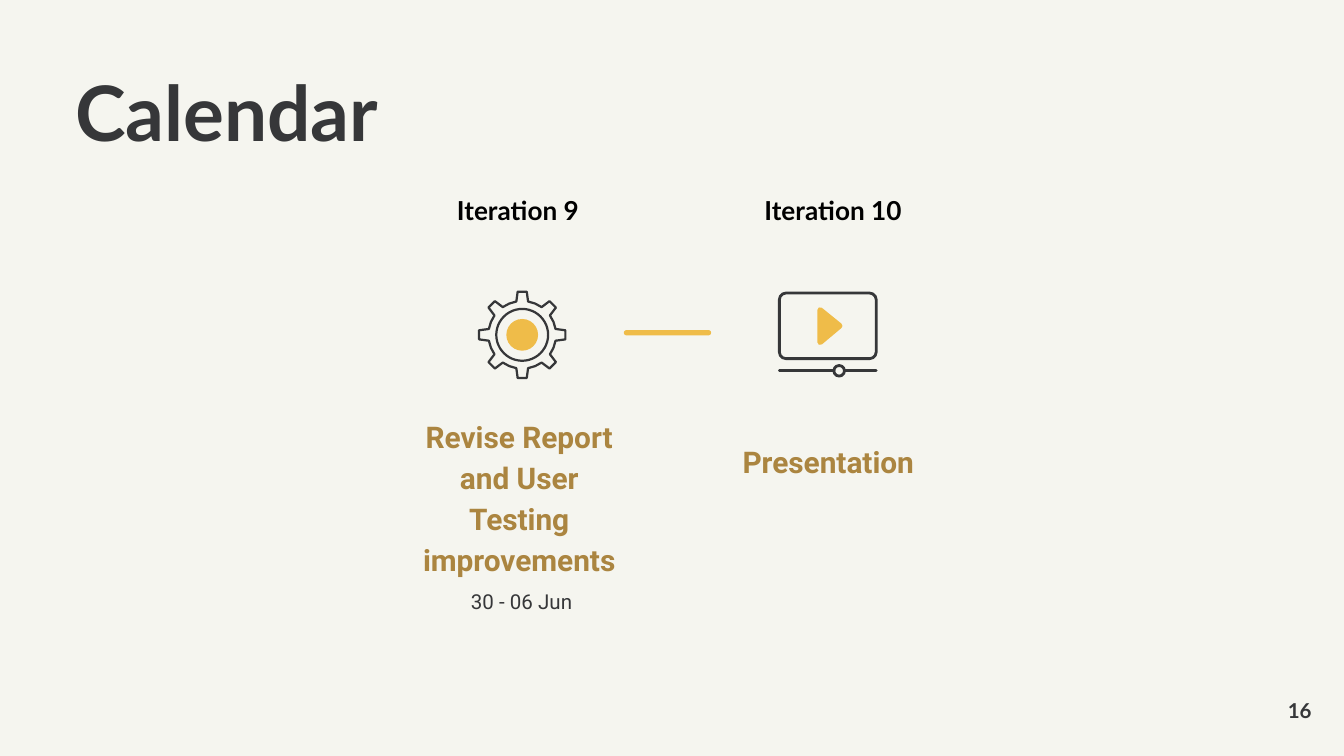
from math import cos, radians, sin

from pptx import Presentation
from pptx.dml.color import RGBColor
from pptx.enum.shapes import MSO_CONNECTOR, MSO_SHAPE
from pptx.enum.text import MSO_ANCHOR, MSO_AUTO_SIZE, PP_ALIGN
from pptx.oxml.ns import qn
from pptx.util import Cm, Pt

PAPER, INK, GOLD, BRONZE, BLACK = "F5F5EF", "363739", "EFBC49", "AB8540", "000000"


def rgb(color):
    return RGBColor.from_string(color)


def fill_text(sp, text, size, color, font="Lato", bold=True, align=PP_ALIGN.CENTER,
              anchor=MSO_ANCHOR.TOP, insets=(0.25, 0.25, 0.25, 0.25), spacing=1.0):
    """Write one paragraph; insets are left, top, right, bottom in cm."""
    tf = sp.text_frame
    tf.word_wrap = True
    tf.auto_size = MSO_AUTO_SIZE.NONE
    tf.vertical_anchor = anchor
    tf.margin_left, tf.margin_top, tf.margin_right, tf.margin_bottom = map(Cm, insets)
    p = tf.paragraphs[0]
    p.text = text
    p.alignment = align
    p.line_spacing = spacing
    p.font.name = font
    p.font.size = Pt(size)
    p.font.bold = bold
    p.font.color.rgb = rgb(color)


def add_text(s, box, *args, **kwargs):
    fill_text(s.shapes.add_textbox(*map(Cm, box)), *args, **kwargs)


def paint(sp, fill=None, line=None, width=1.5):
    sp.shadow.inherit = False
    if fill:
        sp.fill.solid()
        sp.fill.fore_color.rgb = rgb(fill)
    else:
        sp.fill.background()
    if line:
        sp.line.color.rgb = rgb(line)
        sp.line.width = Pt(width)
        ln = sp.line._get_or_add_ln()
        ln.append(ln.makeelement(qn("a:round"), {}))
    else:
        sp.line.fill.background()


def add_round_rect(s, box, radius, **style):
    sp = s.shapes.add_shape(MSO_SHAPE.ROUNDED_RECTANGLE, *map(Cm, box))
    sp.adjustments[0] = radius
    paint(sp, **style)


def add_circle(s, x, y, r, **style):
    sp = s.shapes.add_shape(MSO_SHAPE.OVAL, Cm(x - r), Cm(y - r), Cm(2 * r), Cm(2 * r))
    paint(sp, **style)


def add_polygon(s, points, **style):
    points = [(Cm(x), Cm(y)) for x, y in points]
    builder = s.shapes.build_freeform(*points[0], scale=1.0)
    builder.add_line_segments(points[1:], close=True)
    paint(builder.convert_to_shape(), **style)


def add_line(s, x1, x2, y):
    c = s.shapes.add_connector(MSO_CONNECTOR.STRAIGHT, Cm(x1), Cm(y), Cm(x2), Cm(y))
    c.line.color.rgb = rgb(INK)
    c.line.width = Pt(1.5)
    c.line._get_or_add_ln().set("cap", "rnd")
    props = c._element.spPr
    props.append(props.makeelement(qn("a:effectLst"), {}))


def add_gear(s, x, y):
    body, tip = 0.64, 0.82
    # One tooth and the gap after it, as angle and radius
    tooth = [(-10, body), (-6, tip), (6, tip), (10, body), (22.5, body)]
    outline = [(x + r * cos(radians(start + a)), y + r * sin(radians(start + a)))
               for start in range(0, 360, 45) for a, r in tooth]
    add_polygon(s, outline, line=INK, width=1.2)
    add_circle(s, x, y, 0.49, line=INK, width=1.2)
    add_circle(s, x, y, 0.3, fill=GOLD)


def add_player(s):
    left, right, track, knob, r = 14.73, 16.56, 7.01, 15.86, 0.1
    add_round_rect(s, (left, 5.54, right - left, 1.24), 0.1, line=INK)
    add_polygon(s, [(15.5, 5.86), (15.5, 6.47), (15.87, 6.16)],
                fill=GOLD, line=GOLD, width=3)
    add_line(s, left, knob - r, track)
    add_line(s, knob + r, right, track)
    add_circle(s, knob, track, r, line=INK)


def main():
    prs = Presentation()
    prs.slide_width, prs.slide_height = Cm(25.4), Cm(14.29)
    s = prs.slides.add_slide(prs.slide_layouts[5])
    s.background.fill.solid()
    s.background.fill.fore_color.rgb = rgb(PAPER)

    # Title
    title = s.shapes.title
    title.left, title.top, title.width, title.height = map(Cm, (1.42, 1.42, 18, 2))
    fill_text(title, "Calendar", 41, INK, align=PP_ALIGN.LEFT,
              insets=(0, 0, 0, 0), spacing=0.9)

    # Iteration headings
    add_text(s, (8.33, 3.43, 2.92, 1.12), "Iteration 9", 14, BLACK)
    add_text(s, (14.02, 3.43, 3.45, 1.12), "Iteration 10", 14, BLACK)

    # Icons and the bar between them
    add_gear(s, 9.87, 6.33)
    add_round_rect(s, (11.79, 6.24, 1.65, 0.1), 0.5, fill=GOLD)
    add_player(s)

    # Tasks and date
    task = dict(font="Roboto", anchor=MSO_ANCHOR.BOTTOM, spacing=1.15)
    add_text(s, (7.44, 7.85, 4.75, 3.81), "Revise Report and User Testing improvements",
             16, BRONZE, insets=(0.25, 0.25, 0.25, 0.74), **task)
    add_text(s, (13.28, 7.85, 4.75, 1.47), "Presentation", 16, BRONZE, **task)
    add_text(s, (7.42, 10.81, 4.88, 1.2), "30 - 06 Jun", 11, INK,
             font="Roboto", bold=False, spacing=1.15)

    # Slide number
    add_text(s, (23.27, 13.18, 1.52, 0.51), "16", 11, INK, align=PP_ALIGN.RIGHT,
             anchor=MSO_ANCHOR.MIDDLE, insets=(0, 0, 0, 0))

    prs.save("out.pptx")


if __name__ == "__main__":
    main()
